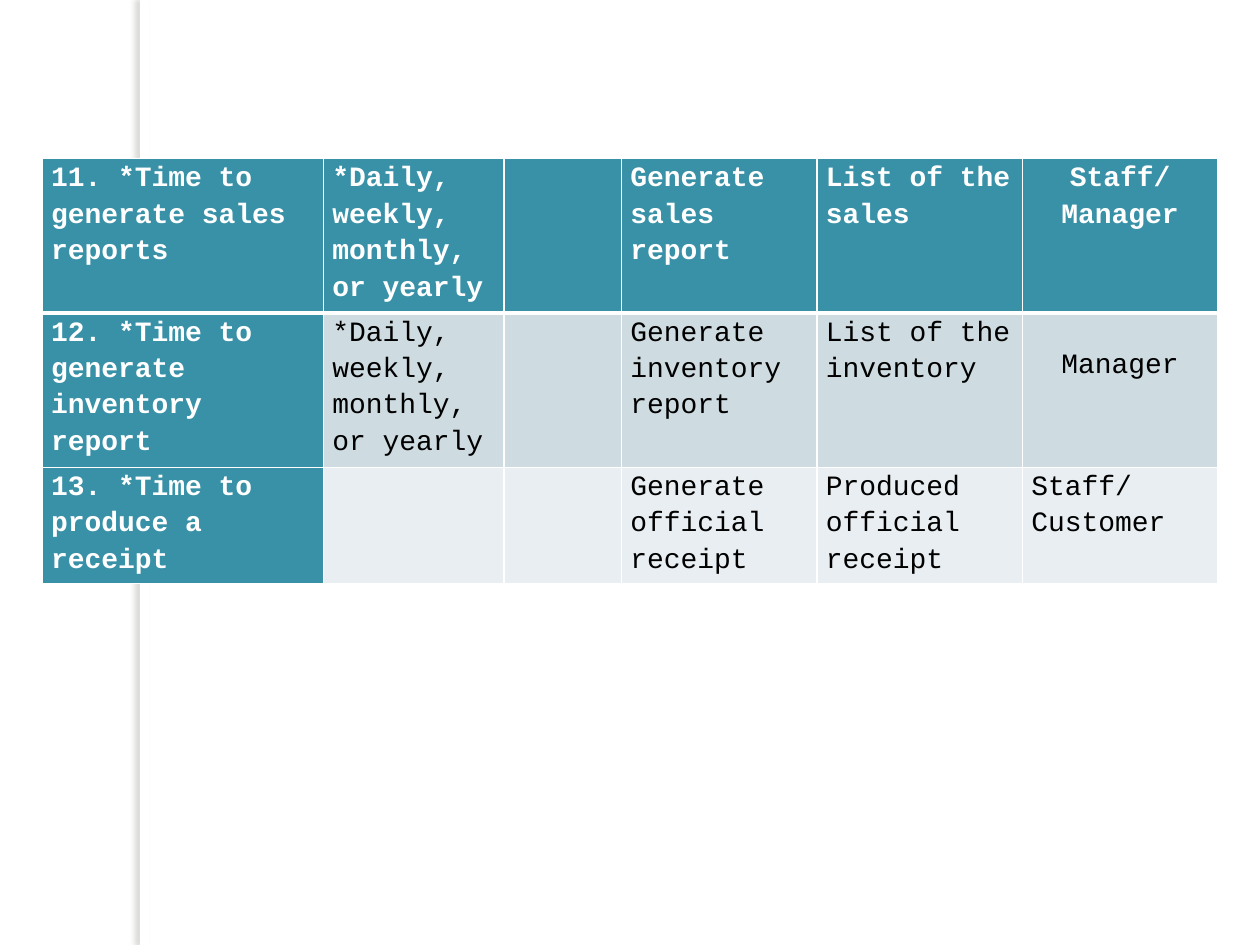
"""Build a slide with the event table rows for reports and receipts."""
from lxml import etree
from pptx import Presentation, util as u
from pptx.dml.color import RGBColor
from pptx.enum import shapes, text
from pptx.oxml import parse_xml
from pptx.oxml.ns import nsdecls

COLOURS = {
    "white": "FFFFFF",
    "black": "000000",
    "teal": "3891A7",
    "band_dark": "CEDCE1",
    "band_light": "E8EEF1",
    "shade": "736F63",
}
EVENTS = [
    ["11. *Time to generate sales reports", "*Daily, weekly, monthly, or yearly", "",
     "Generate sales report", "List of the sales", "Staff/\nManager"],
    ["12. *Time to generate inventory report", "*Daily, weekly, monthly, or yearly", "",
     "Generate inventory report", "List of the inventory", "Manager"],
    ["13. *Time to produce a receipt", "", "",
     "Generate official receipt", "Produced official receipt", "Staff/\nCustomer"],
]
WIDTHS = [5.67, 3.64, 2.37, 3.94, 4.14, 3.94]
HEIGHTS = [3.11, 3.11, 2.34]
BANDS = ["teal", "band_dark", "band_light"]


class SlideBuilder:
    """Hold the style and the current slide."""

    font = "Courier New"
    size = u.Pt(16)
    spacing = 1.15
    inset = u.Cm(0.18)

    def __init__(self, slide):
        self.slide = slide

    def colour(self, name):
        """Return the named colour."""
        return RGBColor.from_string(COLOURS[name])

    def strip(self, left, top, width, height):
        """Add a white strip that casts a soft shadow to the left."""
        strip = self.slide.shapes.add_shape(
            shapes.MSO_SHAPE.RECTANGLE, left, top, width, height)
        strip.fill.solid()
        strip.fill.fore_color.rgb = self.colour("white")
        strip.line.fill.background()
        strip.shadow.inherit = False
        effects = strip.element.spPr.find("{*}effectLst")
        effects.append(parse_xml(
            f'<a:outerShdw {nsdecls("a")} blurRad="{u.Pt(3)}" dist="{u.Pt(3)}" '
            f'dir="10800000" rotWithShape="0"><a:srgbClr val="{COLOURS["shade"]}">'
            '<a:alpha val="25000"/></a:srgbClr></a:outerShdw>'))

    def borders(self, cell, top, bottom):
        """Draw white borders around a cell."""
        for side, points in (("L", 1), ("R", 1), ("T", top), ("B", bottom)):
            cell._tc.get_or_add_tcPr().append(etree.fromstring(
                f'<a:ln{side} {nsdecls("a")} w="{u.Pt(points)}"><a:solidFill>'
                f'<a:srgbClr val="{COLOURS["white"]}"/></a:solidFill></a:ln{side}>'))

    def cell(self, cell, wording, fill, heading, centred):
        """Fill and format one cell."""
        cell.fill.solid()
        cell.fill.fore_color.rgb = self.colour(fill)
        cell.margin_left = cell.margin_right = self.inset
        cell.margin_top = cell.margin_bottom = 0
        cell.text_frame.text = wording
        for paragraph in cell.text_frame.paragraphs:
            paragraph.line_spacing = self.spacing
            paragraph.alignment = text.PP_ALIGN.CENTER if centred else text.PP_ALIGN.LEFT
            paragraph.font.size = self.size
            for run in paragraph.runs:
                run.font.name = self.font
                run.font.size = self.size
                run.font.bold = heading
                run.font.color.rgb = self.colour("white" if heading else "black")

    def table(self, left, top, events):
        """Add the event table with a heading row and column."""
        grid = self.slide.shapes.add_table(
            len(events), len(WIDTHS), left, top,
            u.Cm(sum(WIDTHS)), u.Cm(sum(HEIGHTS))).table
        for column, width in zip(grid.columns, WIDTHS):
            column.width = u.Cm(width)
        for row, height in zip(grid.rows, HEIGHTS):
            row.height = u.Cm(height)
        for r, event in enumerate(events):
            for c, wording in enumerate(event):
                heading = r == 0 or c == 0
                centred = c == len(event) - 1 and r < 2
                cell = grid.cell(r, c)
                self.borders(cell, 3 if r == 1 else 1, 3 if r == 0 else 1)
                self.cell(cell, wording, "teal" if heading else BANDS[r], heading, centred)
        return grid


def main():
    """Build and save the slide."""
    deck = Presentation()
    deck.slide_width, deck.slide_height = u.Cm(25.4), u.Cm(19.05)
    builder = SlideBuilder(deck.slides.add_slide(deck.slide_layouts[6]))
    builder.strip(u.Cm(2.82), 0, u.Cm(0.2), deck.slide_height)
    grid = builder.table(u.Cm(0.85), u.Cm(3.2), EVENTS)
    grid.cell(1, 5).margin_top = u.Cm(0.65)
    deck.save("out.pptx")


if __name__ == "__main__":
    main()
